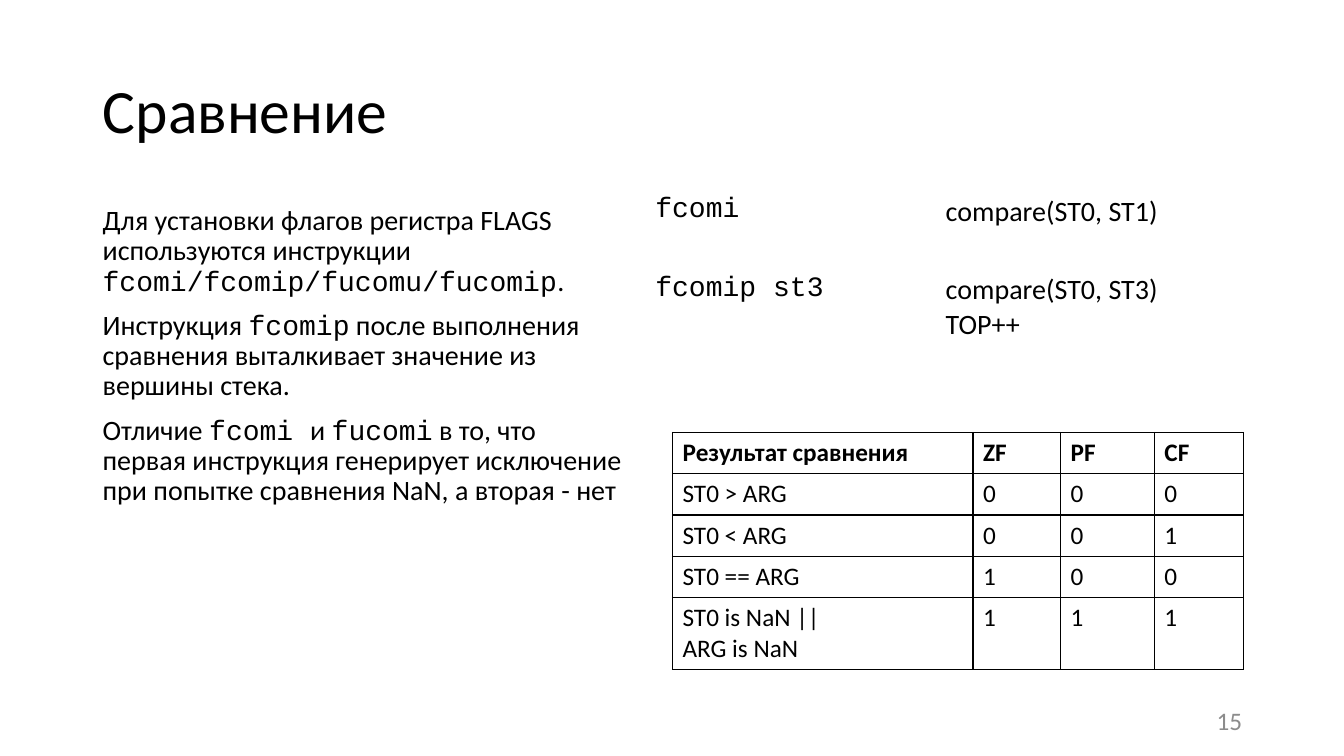
from dataclasses import dataclass

from lxml import etree
from pptx import Presentation
from pptx.dml.color import RGBColor
from pptx.enum import text as t
from pptx.oxml import ns
from pptx.util import Inches, Pt


@dataclass(frozen=True)
class Theme:
    sans: str = "Calibri"
    mono: str = "Courier New"
    ink: str = "000000"
    gray: str = "8C8C8C"
    head: int = 44
    body: int = 20
    small: int = 18


TH = Theme()

NOTES = [
    "Для установки флагов регистра FLAGS используются инструкции `fcomi/fcomip/fucomu/fucomip`.",
    "Инструкция `fcomip` после выполнения сравнения выталкивает значение из вершины стека.",
    "Отличие `fcomi `и `fucomi` в то, что первая инструкция генерирует исключение при "
    "попытке сравнения NaN, а вторая - нет",
]
CALLS = [
    ["`fcomi`", "compare(ST0, ST1)"],
    ["`fcomip st3`", ["compare(ST0, ST3)", "TOP++"]],
]
FLAGS = [
    ["Результат сравнения", "ZF", "PF", "CF"],
    ["ST0 > ARG", "0", "0", "0"],
    ["ST0 < ARG", "0", "0", "1"],
    ["ST0 == ARG", "1", "0", "0"],
    ["ST0 is NaN ||\nARG is NaN", "1", "1", "1"],
]


def write(frame, paras, size=TH.body, color=TH.ink, bold=False,
          align=t.PP_ALIGN.LEFT, anchor=t.MSO_ANCHOR.TOP, line=None, gap=0):
    """Fill a text frame; parts between backticks are set in the code font."""
    frame.word_wrap = True
    frame.auto_size = t.MSO_AUTO_SIZE.NONE
    frame.vertical_anchor = anchor
    for i, para in enumerate([paras] if isinstance(paras, str) else paras):
        p = frame.add_paragraph() if i else frame.paragraphs[0]
        p.alignment = align
        p.space_before = Pt(gap if i else 0)
        if line:
            p.line_spacing = line
        for j, part in enumerate(para.split("`")):
            for k, piece in enumerate(part.split("\n")):
                if k:
                    p.add_line_break()
                if not piece:
                    continue
                run = p.add_run()
                run.text = piece
                font = run.font
                font.name = TH.mono if j % 2 else TH.sans
                font.size, font.bold = Pt(size), bold
                font.color.rgb = RGBColor.from_string(color)


def border(cell):
    props = cell._tc.get_or_add_tcPr()
    for i, side in enumerate(("lnL", "lnR", "lnT", "lnB")):
        edge = etree.Element(ns.qn(f"a:{side}"), w=str(Pt(1)))
        fill = etree.SubElement(edge, ns.qn("a:solidFill"))
        etree.SubElement(fill, ns.qn("a:srgbClr"), val=TH.ink)
        props.insert(i, edge)


def grid(slide, box, rows, widths, heights, size, ruled=False):
    """Draw a plain table; a ruled one has borders and a bold first row."""
    frame = slide.shapes.add_table(len(rows), len(widths), *map(Inches, box))
    table = frame.table
    table.first_row = table.horz_banding = False
    for col, width in zip(table.columns, widths):
        col.width = Inches(width)
    for r, (row, height) in enumerate(zip(rows, heights)):
        table.rows[r].height = Inches(height)
        for c, words in enumerate(row):
            cell = table.cell(r, c)
            cell.fill.background()
            write(cell.text_frame, words, size=size, bold=ruled and r == 0)
            if ruled:
                border(cell)


def title(slide, box, words):
    shape = slide.shapes.title
    shape.left, shape.top, shape.width, shape.height = map(Inches, box)
    write(shape.text_frame, words, size=TH.head, line=0.9, anchor=t.MSO_ANCHOR.MIDDLE)


def label(slide, box, words, **style):
    write(slide.shapes.add_textbox(*map(Inches, box)).text_frame, words, **style)


def main():
    deck = Presentation()
    deck.slide_width, deck.slide_height = Inches(13.33), Inches(7.5)
    slide = deck.slides.add_slide(deck.slide_layouts[5])

    # Title and explanation
    title(slide, (0.92, 0.4, 11.5, 1.45), "Сравнение")
    label(slide, (0.92, 2, 5.36, 4.76), NOTES, line=0.9, gap=10)

    # Instruction examples and resulting flags
    grid(slide, (6.4, 1.88, 6.38, 1.56), CALLS, [2.88, 3.5], [0.78] * 2, TH.body)
    grid(slide, (6.67, 4.29, 5.66, 2.34), FLAGS, [2.98, 0.87, 0.93, 0.88],
         [0.41] * 4 + [0.7], TH.small, ruled=True)

    # Slide number
    label(slide, (9.42, 6.95, 3, 0.4), "15", size=TH.small, color=TH.gray,
          align=t.PP_ALIGN.RIGHT, anchor=t.MSO_ANCHOR.MIDDLE)

    deck.save("out.pptx")


if __name__ == "__main__":
    main()
